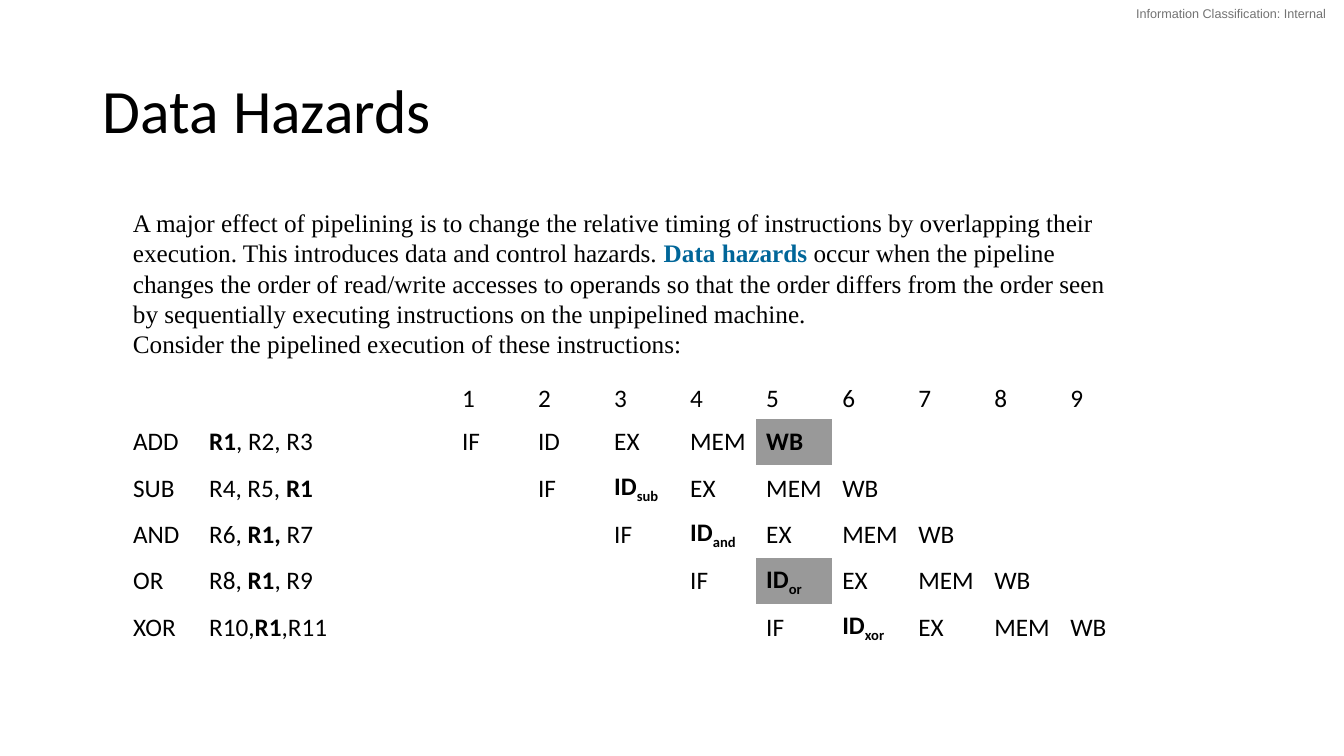
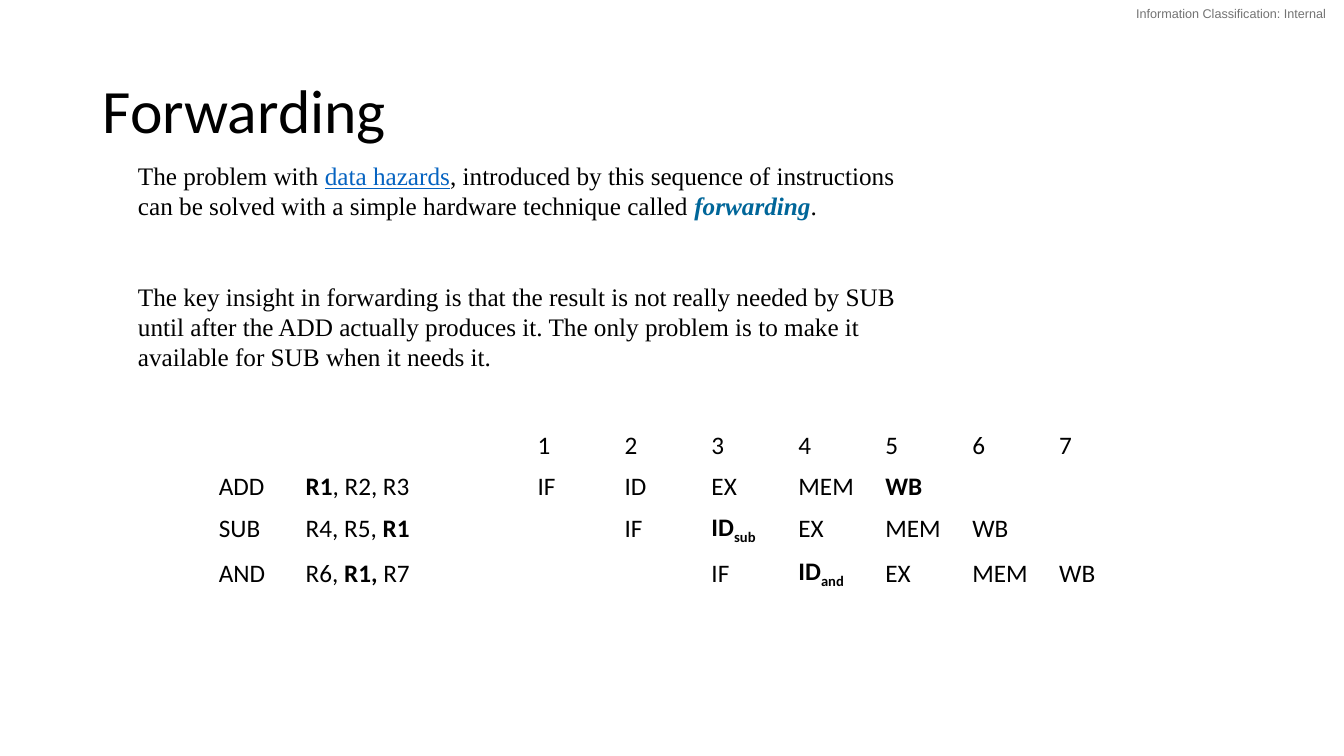
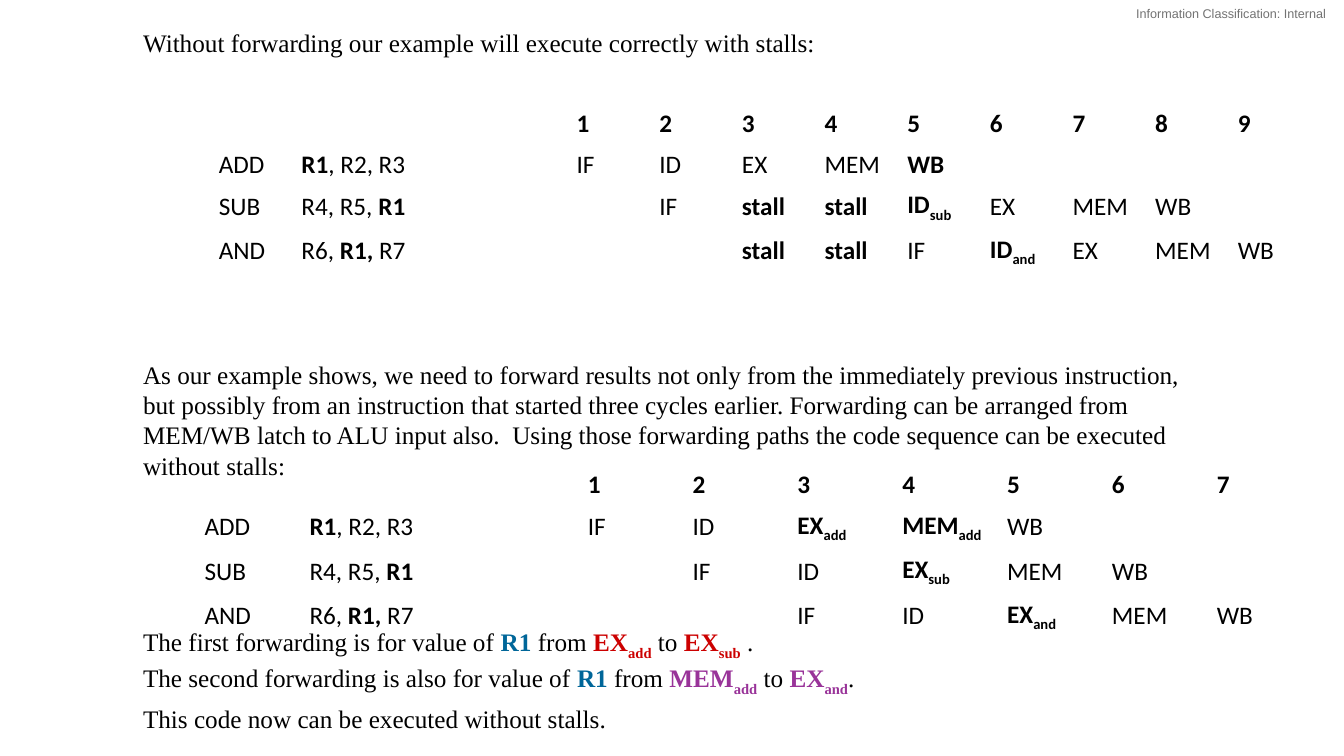
from pptx import Presentation
from pptx.dml.color import RGBColor
from pptx.enum.text import MSO_ANCHOR, PP_ALIGN
from pptx.oxml.ns import qn
from pptx.util import Inches, Pt

COLORS = {
    "ink": "000000",
    "label": "737373",
    "link": "0563C1",
    "term": "006699",
    "first": "CC0000",
    "second": "993399",
    "mark": "999999",
}
SERIF = "Times New Roman"
PLAIN = "{2D5ABB26-0587-4C30-8999-92F81FD0307C}"
REGS = {
    "ADD": "*R1*, R2, R3",
    "SUB": "R4, R5, *R1*",
    "AND": "R6, *R1,* R7",
    "OR": "R8, *R1*, R9",
    "XOR": "R10,*R1*,R11",
}


def write(par, text, font="Calibri", size=18, color="ink", bold=False,
          italic=False, under=False, base=0):
    run = par.add_run()
    run.text = text
    run.font.name = font
    run.font.size = Pt(size)
    run.font.color.rgb = RGBColor.from_string(COLORS[color])
    run.font.bold = bold
    run.font.italic = italic
    run.font.underline = under
    if base:
        run._r.get_or_add_rPr().set("baseline", str(base * 1000))


def rich(par, text, base=-25, **style):
    for turn, part in enumerate(text.split("*")):
        main, _, sub = part.partition("_")
        bold = turn % 2 == 1
        if main:
            write(par, main, bold=bold, **style)
        if sub:
            write(par, sub, bold=bold, base=base, **style)


def add_box(slide, left, top, width, height, anchor=MSO_ANCHOR.TOP):
    box = slide.shapes.add_textbox(
        Inches(left), Inches(top), Inches(width), Inches(height))
    box.text_frame.word_wrap = True
    box.text_frame.vertical_anchor = anchor
    return box


def add_prose(slide, area, blocks, anchor=MSO_ANCHOR.TOP):
    frame = add_box(slide, *area, anchor=anchor).text_frame
    for index, (gap, parts) in enumerate(blocks):
        par = frame.add_paragraph() if index else frame.paragraphs[0]
        par.space_before = Pt(gap)
        par.line_spacing = Pt(21.6)
        for text, color in parts:
            if color == "link":
                write(par, text, font=SERIF, color=color, under=True)
            elif color == "idea":
                write(par, text, font=SERIF, color="term", bold=True, italic=True)
            else:
                rich(par, text, base=-30, font=SERIF, color=color)


def add_title(slide, text):
    frame = slide.shapes.title.text_frame
    frame.vertical_anchor = MSO_ANCHOR.MIDDLE
    par = frame.paragraphs[0]
    par.alignment = PP_ALIGN.LEFT
    par.line_spacing = 0.9
    write(par, text, size=44)


def add_stages(slide, left, top, step, wide, count, rows,
               tall=0.4, strong=False, marks=()):
    shape = slide.shapes.add_table(
        len(rows) + 1, count + 2, Inches(left), Inches(top),
        Inches(step * (count + 1) + wide), Inches(0.4 + tall * len(rows)))
    for style in shape.element.iter(qn("a:tableStyleId")):
        style.text = PLAIN
    table = shape.table
    table.first_row = table.horz_banding = False
    for index, col in enumerate(table.columns):
        col.width = Inches(wide if index == 1 else step)
    for index, row in enumerate(table.rows):
        row.height = Inches(tall if index else 0.4)
    form = "*{}*" if strong else "{}"
    grid = [["", ""] + [form.format(num + 1) for num in range(count)]]
    for name, start, steps in rows:
        grid.append([name, REGS[name]] + [""] * (start - 1) + steps.split())
    for row, texts in enumerate(grid):
        for col in range(count + 2):
            cell = table.cell(row, col)
            cell.vertical_anchor = MSO_ANCHOR.MIDDLE
            if (row, col) in marks:
                cell.fill.solid()
                cell.fill.fore_color.rgb = RGBColor.from_string(COLORS["mark"])
            else:
                cell.fill.background()
            if col < len(texts):
                rich(cell.text_frame.paragraphs[0], texts[col])


def set_shared(deck, slide):
    title = deck.slide_layouts[5].placeholders[0]
    title.left, title.top = Inches(0.92), Inches(0.4)
    title.width, title.height = Inches(11.5), Inches(1.45)
    label = add_box(slide, 11.09, 0, 2.24, 0.26, MSO_ANCHOR.MIDDLE)
    frame = label.text_frame
    frame.margin_left = frame.margin_top = frame.margin_bottom = 0
    frame.margin_right = Inches(0.18)
    par = frame.paragraphs[0]
    par.alignment = PP_ALIGN.RIGHT
    write(par, "Information Classification: Internal",
          font="Arial", size=9, color="label")
    deck.slide_master.shapes.element.append(label.element)


def show_hazards(slide):
    add_title(slide, "Data Hazards")
    add_stages(slide, 1.22, 3.75, 0.754, 2.51, 9, [
        ("ADD", 1, "IF ID EX MEM *WB*"),
        ("SUB", 2, "IF *ID_sub* EX MEM WB"),
        ("AND", 3, "IF *ID_and* EX MEM WB"),
        ("OR", 4, "IF *ID_or* EX MEM WB"),
        ("XOR", 5, "IF *ID_xor* EX MEM WB"),
    ], tall=0.46, marks={(1, 6), (4, 6)})
    add_prose(slide, (1.22, 2.01, 10.05, 1.92), [
        (0, [
            ("A major effect of pipelining is to change the relative timing "
             "of instructions by overlapping their execution. This introduces "
             "data and control hazards. ", "ink"),
            ("*Data hazards*", "term"),
            (" occur when the pipeline changes the order of read/write "
             "accesses to operands so that the order differs from the order "
             "seen by sequentially executing instructions on the unpipelined "
             "machine.", "ink"),
        ]),
        (0, [("Consider the pipelined execution of these instructions:", "ink")]),
    ])


def show_forward(slide):
    add_title(slide, "Forwarding")
    add_stages(slide, 2.07, 4.22, 0.8625, 2.3, 7, [
        ("ADD", 1, "IF ID EX MEM *WB*"),
        ("SUB", 2, "IF *ID_sub* EX MEM WB"),
        ("AND", 3, "IF *ID_and* EX MEM WB"),
    ])
    add_prose(slide, (1.27, 1.53, 8, 2.22), [
        (0, [
            ("The problem with ", "ink"),
            ("data hazards", "link"),
            (", introduced by this sequence of instructions can be solved "
             "with a simple hardware technique called ", "ink"),
            ("forwarding", "idea"),
            (".", "ink"),
        ]),
        (43.2, [
            ("The key insight in forwarding is that the result is not really "
             "needed by SUB until after the ADD actually produces it. The only "
             "problem is to make it available for SUB when it needs it.", "ink"),
        ]),
    ], MSO_ANCHOR.MIDDLE)


def show_stalls(slide):
    add_prose(slide, (1.32, 0.22, 10.69, 7.07), [
        (0, [("Without forwarding our example will execute correctly with "
              "stalls:", "ink")]),
        (215.7, [
            ("As our example shows, we need to forward results not only from "
             "the immediately previous instruction, but possibly from an "
             "instruction that started three cycles earlier. Forwarding can "
             "be arranged from MEM/WB latch to ALU input also.\u00a0 Using "
             "those forwarding paths the code sequence can be executed without "
             "stalls:", "ink"),
        ]),
        (108, [
            ("The first forwarding is for value of ", "ink"),
            ("*R1*", "term"),
            (" from ", "ink"),
            ("*EX_add*", "first"),
            (" to ", "ink"),
            ("*EX_sub*", "first"),
            (" .", "ink"),
        ]),
        (4.2, [
            ("The second forwarding is also for value of ", "ink"),
            ("*R1*", "term"),
            (" from ", "ink"),
            ("*MEM_add*", "second"),
            (" to ", "ink"),
            ("*EX_and*", "second"),
            (".", "ink"),
        ]),
        (4.2, [("This code now can be executed without stalls.", "ink")]),
    ])
    add_stages(slide, 2.07, 1.03, 0.82, 2.73, 9, [
        ("ADD", 1, "IF ID EX MEM *WB*"),
        ("SUB", 2, "IF *stall* *stall* *ID_sub* EX MEM WB"),
        ("AND", 3, "*stall* *stall* IF *ID_and* EX MEM WB"),
    ], strong=True)
    add_stages(slide, 1.93, 4.61, 1.04, 2.76, 7, [
        ("ADD", 1, "IF ID *EX_add* *MEM_add* WB"),
        ("SUB", 2, "IF ID *EX_sub* MEM WB"),
        ("AND", 3, "IF ID *EX_and* MEM WB"),
    ], strong=True)


def main():
    deck = Presentation()
    deck.slide_width, deck.slide_height = Inches(13.33), Inches(7.5)
    slides = [deck.slides.add_slide(deck.slide_layouts[num]) for num in (5, 5, 6)]
    set_shared(deck, slides[0])
    for show, slide in zip((show_hazards, show_forward, show_stalls), slides):
        show(slide)
    deck.save("out.pptx")


main()
